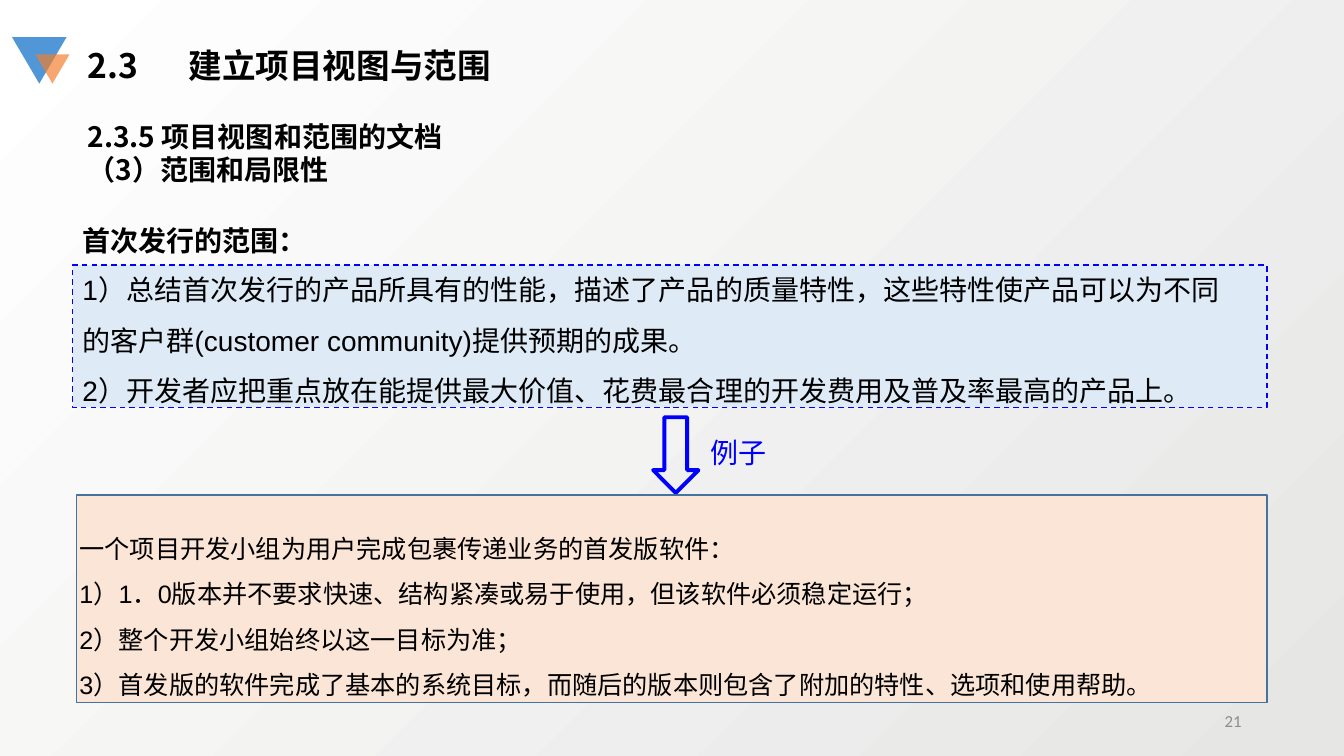
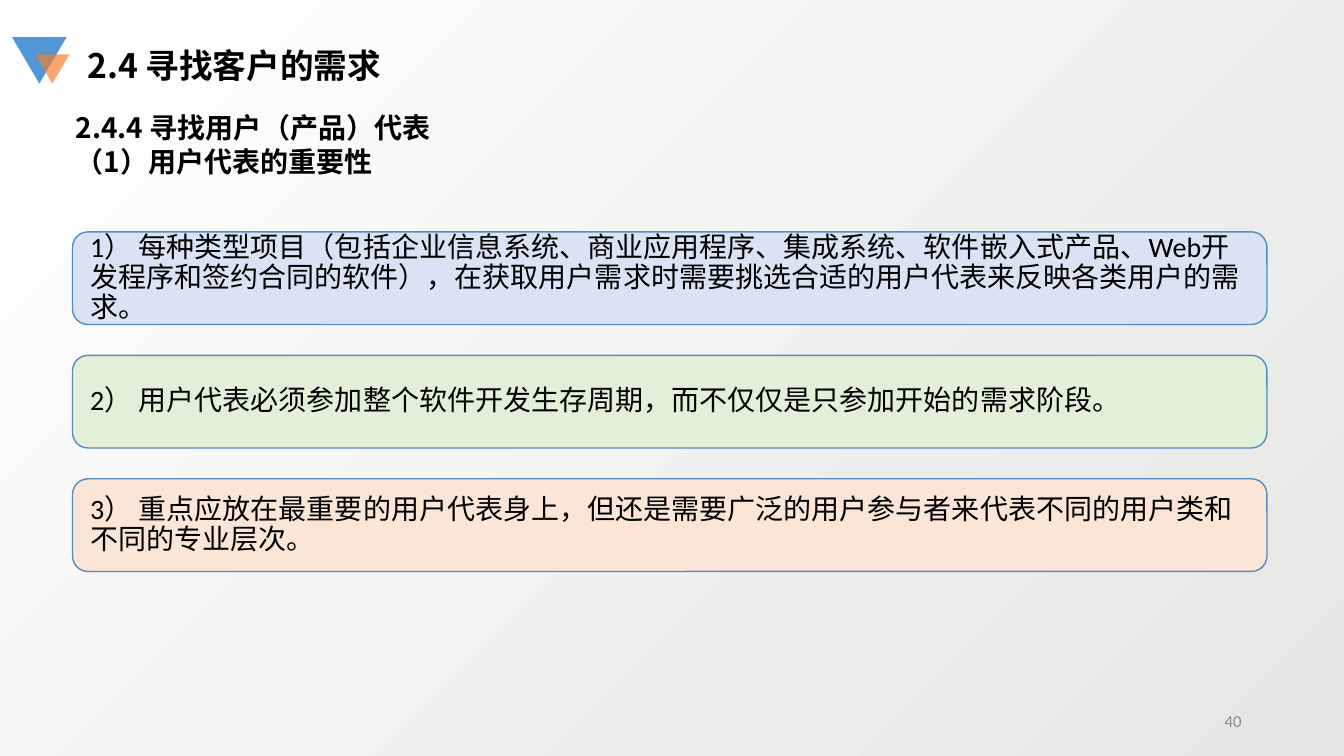
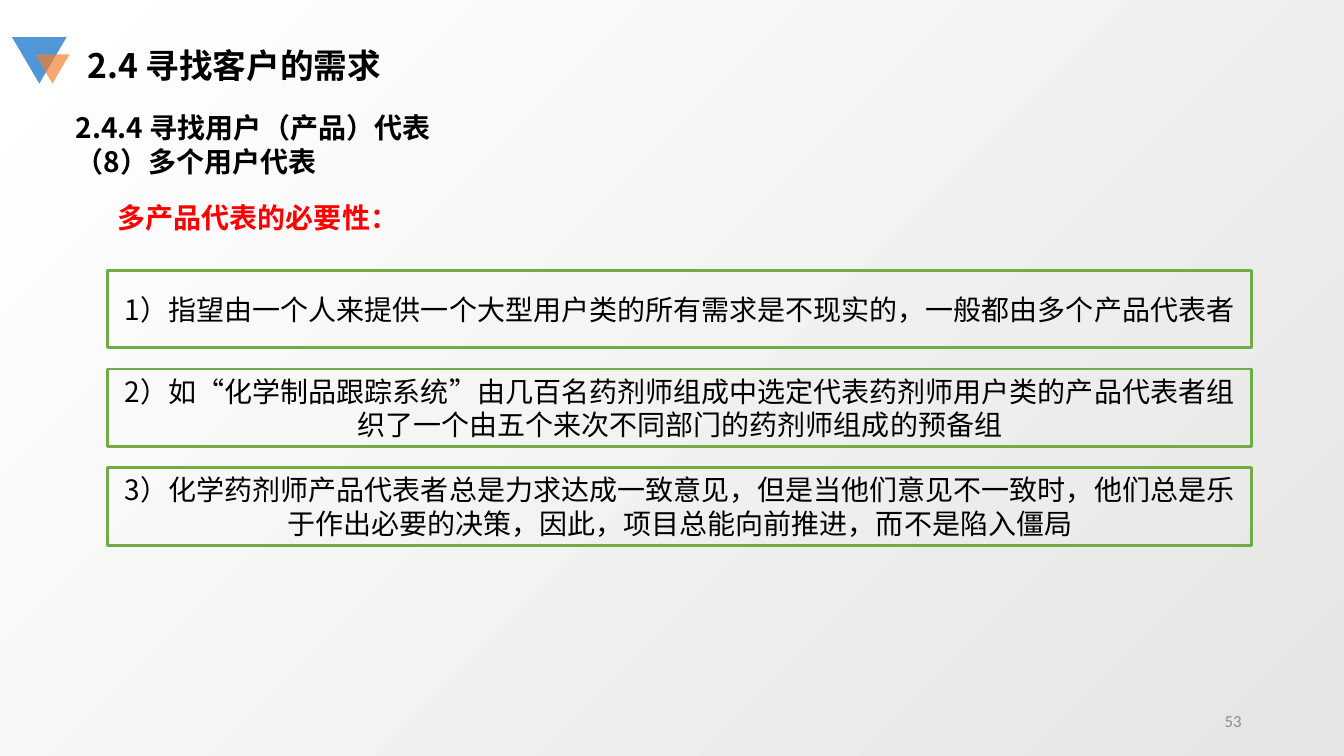
from dataclasses import dataclass, field

from lxml.etree import SubElement
from pptx import Presentation
from pptx.dml.color import RGBColor
from pptx.enum.dml import MSO_LINE as Dash
from pptx.enum.lang import MSO_LANGUAGE_ID as Language
from pptx.enum.shapes import MSO_SHAPE as Preset
from pptx.enum.text import MSO_ANCHOR as Anchor, MSO_AUTO_SIZE as AutoSize, PP_ALIGN as Align
from pptx.oxml.ns import qn
from pptx.util import Pt


@dataclass(frozen=True)
class Theme:
    """Colours, fonts and type sizes shared by all slides."""

    black: str = "000000"
    blue: str = "0000FF"
    red: str = "FF0000"
    grey: str = "8C8C8C"
    green: str = "70AD47"
    steel: str = "43739E"
    sky: str = "538DC1"
    mark_blue: str = "5197D7"
    mark_orange: str = "F37D2A"
    pale_blue: str = "DEEBF7"
    pale_indigo: str = "DAE3F3"
    pale_green: str = "E2F0D9"
    pale_orange: str = "FBE5D6"
    backdrop: tuple = ("E6E6E5", "FFFFFF")
    cjk: str = "Noto Sans CJK SC"
    sans: str = "Arial"
    body: str = "Calibri"
    title_size: int = 24
    text_size: int = 20
    example_size: int = 18
    number_size: int = 12


THEME = Theme()


@dataclass(frozen=True)
class Box:
    """A rectangle in points."""

    left: float
    top: float
    width: float
    height: float

    def lengths(self):
        """Return the four lengths for python-pptx."""
        return Pt(self.left), Pt(self.top), Pt(self.width), Pt(self.height)

    def inner(self, left, top, width, height):
        """Return a box placed from this box's corner."""
        return Box(self.left + left, self.top + top, width, height)

    def rows(self, count, height):
        """Return equally spaced rows that fill this box."""
        step = (self.height - height) / (count - 1)
        return [self.inner(0, step * row, self.width, height) for row in range(count)]


@dataclass(frozen=True)
class Style:
    """How a block of text looks."""

    font: str = THEME.cjk
    size: int = THEME.text_size
    color: str = THEME.black
    bold: bool = False
    spacing: float = 1.0
    align: Align = Align.LEFT
    tab: float = 0
    frame: dict = field(default_factory=dict)


TITLE = Style(size=THEME.title_size, bold=True, tab=53)
TOPIC = Style(bold=True)
NUMBER = Style(THEME.body, THEME.number_size, THEME.grey, align=Align.RIGHT,
               frame={"vertical_anchor": Anchor.MIDDLE})
LABEL = Style(THEME.sans, bold=True, spacing=1.5)
SCOPE = Style(THEME.sans, spacing=1.5, frame={
    "vertical_anchor": Anchor.BOTTOM, "margin_bottom": Pt(0), "margin_right": Pt(24)})
EXAMPLE = Style(THEME.sans, THEME.example_size, spacing=1.5, frame={
    "vertical_anchor": Anchor.BOTTOM, "margin_bottom": Pt(2), "margin_left": Pt(2)})
ARROW_LABEL = Style(THEME.body, color=THEME.blue, frame={"word_wrap": False})
NEED_LABEL = Style(color=THEME.red, bold=True)
CARD = Style(THEME.body, spacing=0.9, frame={
    "vertical_anchor": Anchor.MIDDLE,
    **{f"margin_{side}": Pt(9.4) for side in ("left", "top", "right", "bottom")}})
FRAMED = Style(align=Align.CENTER, frame={"vertical_anchor": Anchor.MIDDLE})


def assign(target, values):
    """Set attributes from a dict of format values."""
    for name, value in values.items():
        setattr(target, name, value)


def write(frame, lines, style):
    """Fill a text frame with one paragraph per line."""
    assign(frame, {"word_wrap": True, "auto_size": AutoSize.NONE,
                   "vertical_anchor": Anchor.TOP, **style.frame})
    for index, line in enumerate(lines):
        paragraph = frame.add_paragraph() if index else frame.paragraphs[0]
        assign(paragraph, {"alignment": style.align, "line_spacing": style.spacing,
                           "space_before": Pt(0), "space_after": Pt(0)})
        properties = paragraph._p.get_or_add_pPr()
        assign_indent = {"marL": "0", "indent": "0"}
        properties.attrib.update(assign_indent)
        SubElement(properties, qn("a:buNone"))
        if style.tab:
            stops = SubElement(properties, qn("a:tabLst"))
            SubElement(stops, qn("a:tab"), pos=str(Pt(style.tab)), algn="l")
        run = paragraph.add_run()
        run.text = line
        assign(run.font, {"name": style.font, "size": Pt(style.size), "bold": style.bold,
                          "language_id": Language.SIMPLIFIED_CHINESE})
        run.font.color.rgb = RGBColor.from_string(style.color)
        SubElement(run._r.get_or_add_rPr(), qn("a:ea"), typeface=THEME.cjk)


def add_text(slide, box, lines, style):
    """Add a text box."""
    write(slide.shapes.add_textbox(*box.lengths()).text_frame, lines, style)


def fill_placeholder(placeholder, box, lines, style):
    """Move a placeholder and write its text."""
    assign(placeholder, dict(zip(("left", "top", "width", "height"), box.lengths())))
    write(placeholder.text_frame, lines, style)


def add_panel(slide, box, preset, fill=None, line=None, weight=1, dash=None):
    """Add a flat preset shape with optional fill and outline."""
    panel = slide.shapes.add_shape(preset, *box.lengths())
    panel.shadow.inherit = False
    if fill:
        panel.fill.solid()
        panel.fill.fore_color.rgb = RGBColor.from_string(fill)
    else:
        panel.fill.background()
    if line:
        panel.line.color.rgb = RGBColor.from_string(line)
        assign(panel.line, {"width": Pt(weight), "dash_style": dash})
    else:
        panel.line.fill.background()
    return panel


def add_mark(slide, box):
    """Draw the two overlapping triangles beside the title."""
    large = box.inner(0, 0, 38.9, 33.1)
    small = box.inner(16.6, 12.2, 24.5, 20.9)
    for part, color in ((large, THEME.mark_blue), (small, THEME.mark_orange)):
        triangle = add_panel(slide, part, Preset.ISOSCELES_TRIANGLE, color)
        triangle.rotation = 180
    tint = triangle.fill._xPr.find(qn("a:solidFill"))[0]
    SubElement(tint, qn("a:alpha"), val="68000")


def add_base(deck, title, topic, number, topic_box):
    """Add a slide with mark, title, topic and page number."""
    slide = deck.slides.add_slide(deck.slide_layouts[1])
    add_mark(slide, Box(8.6, 26.6, 41.1, 33.1))
    fill_placeholder(slide.shapes.title, Box(55.4, 28.8, 611, 36), [title], TITLE)
    fill_placeholder(slide.placeholders[1], topic_box, topic, TOPIC)
    add_text(slide, Box(678, 500.4, 216, 28.8), [number], NUMBER)
    return slide


def add_scope(slide, box, label, scope, example_label, example):
    """Place a labelled scope panel, an arrow and an example panel."""
    add_text(slide, box.inner(0, 0, box.width, 40), [label], LABEL)
    scope_panel = add_panel(slide, box.inner(0, 45.4, box.width, 101.5), Preset.RECTANGLE,
                            THEME.pale_blue, THEME.blue, dash=Dash.DASH)
    write(scope_panel.text_frame, scope, SCOPE)
    example_panel = add_panel(slide, box.inner(2.9, 209.5, box.width - 2.9, 148.3),
                              Preset.RECTANGLE, THEME.pale_orange, THEME.steel)
    write(example_panel.text_frame, example, EXAMPLE)
    add_panel(slide, box.inner(414.7, 154, 32.4, 54), Preset.DOWN_ARROW,
              line=THEME.blue, weight=2.75)
    add_text(slide, box.inner(448.6, 163.4, 54.7, 31.7), [example_label], ARROW_LABEL)


def add_cards(slide, box, points):
    """Stack rounded cards, each with its own tint."""
    tints = (THEME.pale_indigo, THEME.pale_green, THEME.pale_orange)
    for row, point, tint in zip(box.rows(len(points), 66.2), points, tints):
        card = add_panel(slide, row, Preset.ROUNDED_RECTANGLE, tint, THEME.sky)
        write(card.text_frame, [point], CARD)


def add_framed_points(slide, box, label, points):
    """Place a red label above outlined points."""
    add_text(slide, box.inner(0, 0, 216, 31.7), [label], NEED_LABEL)
    stack = box.inner(0, 53.3, box.width, box.height - 53.3)
    for row, point in zip(stack.rows(len(points), 55.4), points):
        framed = add_panel(slide, row, Preset.RECTANGLE, line=THEME.green, weight=2)
        write(framed.text_frame, [point], FRAMED)


def paint_backdrop(deck):
    """Give the master its diagonal gradient."""
    fill = deck.slide_master.background.fill
    fill.gradient()
    fill.gradient_angle = 135
    for stop, color in zip(fill.gradient_stops, THEME.backdrop):
        stop.color.rgb = RGBColor.from_string(color)


def main():
    """Build and save the deck."""
    deck = Presentation()
    assign(deck, {"slide_width": Pt(960), "slide_height": Pt(540)})
    paint_backdrop(deck)

    scope_slide = add_base(
        deck, "2.3\t建立项目视图与范围",
        ["2.3.5 项目视图和范围的文档", "（3）范围和局限性"], "21",
        Box(55.4, 81.4, 611, 55.4))
    add_scope(
        scope_slide, Box(51.8, 144, 853.2, 357.8), "首次发行的范围：",
        ["1）总结首次发行的产品所具有的性能，描述了产品的质量特性，这些特性使产品可以为不同的客户群(customer community)提供预期的成果。",
         "2）开发者应把重点放在能提供最大价值、花费最合理的开发费用及普及率最高的产品上。"],
        "例子",
        ["一个项目开发小组为用户完成包裹传递业务的首发版软件：",
         "1）1．0版本并不要求快速、结构紧凑或易于使用，但该软件必须稳定运行；",
         "2）整个开发小组始终以这一目标为准；",
         "3）首发版的软件完成了基本的系统目标，而随后的版本则包含了附加的特性、选项和使用帮助。"])

    needs_title, users_topic = "2.4 寻找客户的需求", "2.4.4 寻找用户（产品）代表"
    users_box = Box(46.8, 75.6, 661.7, 55.4)
    importance_slide = add_base(
        deck, needs_title, [users_topic, "（1）用户代表的重要性"], "40", users_box)
    add_cards(importance_slide, Box(51.8, 165.6, 853.2, 242.6), [
        "1） 每种类型项目（包括企业信息系统、商业应用程序、集成系统、软件嵌入式产品、Web开发程序和签约合同的软件），在获取用户需求时需要挑选合适的用户代表来反映各类用户的需求。",
        "2） 用户代表必须参加整个软件开发生存周期，而不仅仅是只参加开始的需求阶段。",
        "3） 重点应放在最重要的用户代表身上，但还是需要广泛的用户参与者来代表不同的用户类和不同的专业层次。"])

    several_slide = add_base(
        deck, needs_title, [users_topic, "（8）多个用户代表"], "53", users_box)
    add_framed_points(several_slide, Box(77, 139.7, 817.2, 249.8), "多产品代表的必要性：", [
        "1）指望由一个人来提供一个大型用户类的所有需求是不现实的，一般都由多个产品代表者",
        "2）如“化学制品跟踪系统”由几百名药剂师组成中选定代表药剂师用户类的产品代表者组织了一个由五个来次不同部门的药剂师组成的预备组",
        "3）化学药剂师产品代表者总是力求达成一致意见，但是当他们意见不一致时，他们总是乐于作出必要的决策，因此，项目总能向前推进，而不是陷入僵局"])

    deck.save("out.pptx")


if __name__ == "__main__":
    main()
